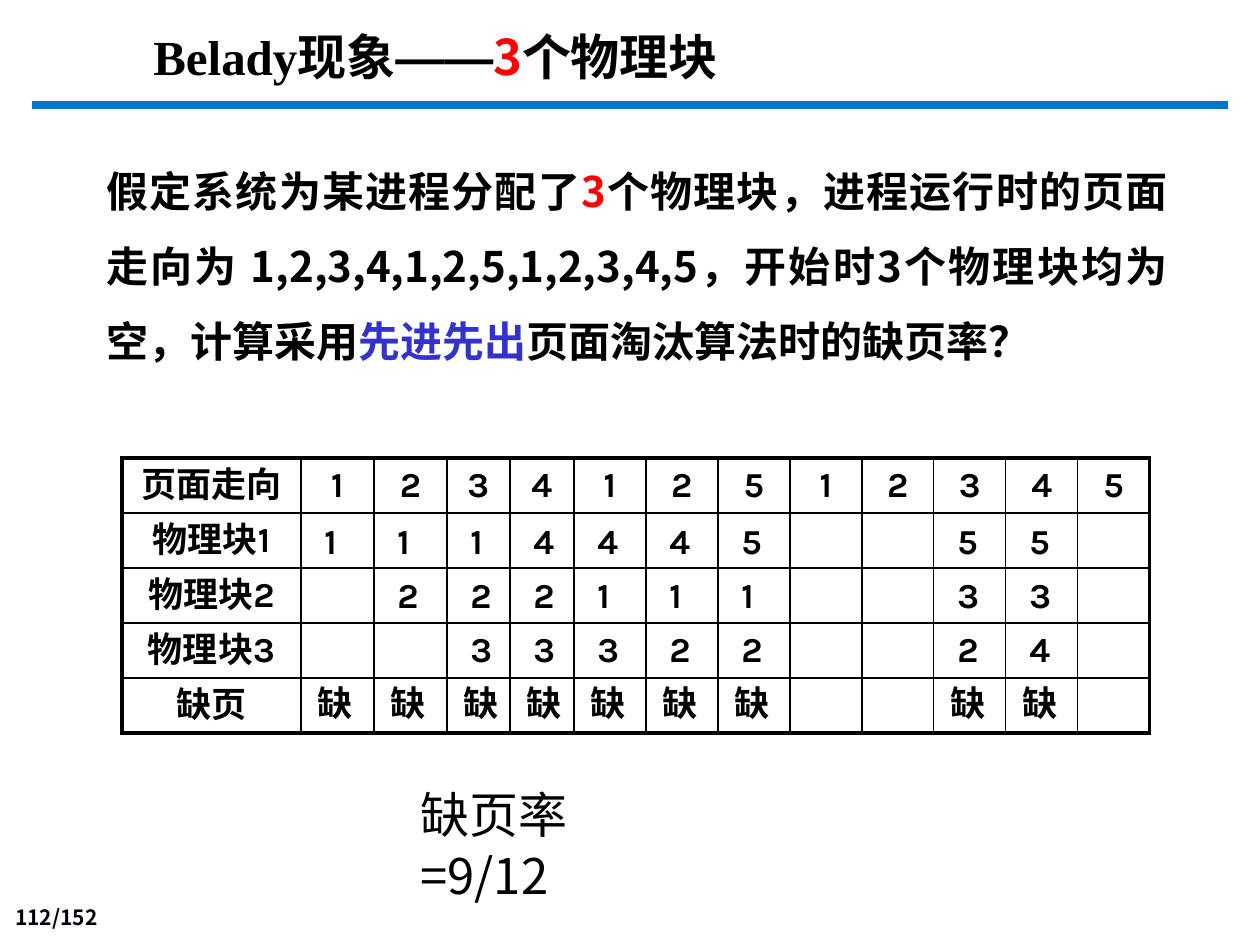
from itertools import accumulate

from lxml import etree
from pptx import Presentation
from pptx.dml.color import RGBColor
from pptx.enum.dml import MSO_FILL
from pptx.enum.shapes import MSO_CONNECTOR
from pptx.enum.text import MSO_ANCHOR, MSO_AUTO_SIZE, PP_ALIGN
from pptx.oxml.ns import qn
from pptx.util import Emu, Pt

PX = 914400 // 126
BLACK, RED, BLUE, RULE_BLUE = "000000", "FF0000", "3333CC", "0574D0"
HEI, SERIF, SANS, CELL_FONT = "Noto Sans CJK SC", "Times New Roman", "Arial", "Karla"

# Runs: text, font, colour
TITLE = [
    ("Belady", SERIF, BLACK),
    ("现象——", SANS, BLACK),
    ("3", HEI, RED),
    ("个物理块", HEI, BLACK),
]
QUESTION = [
    ("假定系统为某进程分配了", HEI, BLACK),
    ("3", HEI, RED),
    ("个物理块，进程运行时的页面走向为 1,2,3,4,1,2,5,1,2,3,4,5，开始时3个物理块均为空，计算采用", HEI, BLACK),
    ("先进先出", HEI, BLUE),
    ("页面淘汰算法时的缺页率？", HEI, BLACK),
]
RESULT = [("缺页率=9/12", HEI, BLACK)]
PAGE_NUMBER = [("112/152", "Noto Sans CJK JP", "000008")]

ROW_LABELS = ["页面走向", "物理块1", "物理块2", "物理块3", "缺页"]
PAGE_SEQUENCE = "123412512345"
# Frames held after each fault, keyed by the column of the page sequence
FRAMES = {1: "1", 2: "12", 3: "123", 4: "423", 5: "413", 6: "412",
          7: "512", 10: "532", 11: "534"}
FAULT = "缺"

TABLE_LEFT, TABLE_TOP, ROW_HEIGHT = 122, 458, 55
COLUMN_WIDTHS = [179, 73, 73, 63, 64] + [72] * 8
COLUMN_LEFTS = list(accumulate(COLUMN_WIDTHS, initial=TABLE_LEFT))
FIRST_MARK_TOP, MARK_STEP, MARK_HEIGHT = 513, 54, 54


def px(length):
    return Emu(length * PX)


def colour(value):
    return RGBColor.from_string(value)


def add_runs(paragraph, runs, size, bold=True):
    for text, face, tint in runs:
        run = paragraph.add_run()
        run.text = text
        run.font.size = Pt(size)
        run.font.bold = bold
        run.font.name = face
        run.font.color.rgb = colour(tint)
        east_asian = etree.SubElement(run._r.get_or_add_rPr(), qn("a:ea"))
        east_asian.set("typeface", face)


def add_text(slide, box, runs, size, bold=True, wrap=True, align=PP_ALIGN.LEFT,
             spacing=None, grow=True, anchor=MSO_ANCHOR.TOP):
    frame = slide.shapes.add_textbox(*map(px, box)).text_frame
    frame.word_wrap = wrap
    frame.auto_size = MSO_AUTO_SIZE.SHAPE_TO_FIT_TEXT if grow else MSO_AUTO_SIZE.NONE
    frame.vertical_anchor = anchor
    paragraph = frame.paragraphs[0]
    paragraph.alignment = align
    if spacing:
        paragraph.line_spacing = Pt(spacing)
    add_runs(paragraph, runs, size, bold)


def add_title_rule(slide):
    rule = slide.shapes.add_connector(
        MSO_CONNECTOR.STRAIGHT, px(32), px(105), px(1228), px(105))
    rule.line.color.rgb = colour(RULE_BLUE)
    rule.line.width = Pt(4.5)
    etree.SubElement(rule._element.spPr, qn("a:effectLst"))


def set_borders(cell, row, column):
    """Draw thick lines on the table's outer edge and thin ones inside."""
    outer_sides = {
        "lnL": column == 0,
        "lnR": column == len(COLUMN_WIDTHS) - 1,
        "lnT": row == 0,
        "lnB": row == len(ROW_LABELS) - 1,
    }
    properties = cell._tc.get_or_add_tcPr()
    for position, (side, outer) in enumerate(outer_sides.items()):
        line = etree.Element(qn(f"a:{side}"), w=str(Pt(2.25 if outer else 1)))
        fill = etree.SubElement(line, qn("a:solidFill"))
        etree.SubElement(fill, qn("a:srgbClr"), val=BLACK)
        properties.insert(position, line)


def add_page_table(slide):
    row_count, column_count = len(ROW_LABELS), len(COLUMN_WIDTHS)
    table = slide.shapes.add_table(
        row_count, column_count, px(TABLE_LEFT), px(TABLE_TOP),
        px(sum(COLUMN_WIDTHS)), px(ROW_HEIGHT * row_count)).table
    table.first_row = table.horz_banding = False
    for column, width in zip(table.columns, COLUMN_WIDTHS):
        column.width = px(width)
    for r, label in enumerate(ROW_LABELS):
        table.rows[r].height = px(ROW_HEIGHT)
        entries = [label, *PAGE_SEQUENCE] if r == 0 else [label]
        for c in range(column_count):
            cell = table.cell(r, c)
            cell.fill.background()
            cell.margin_top = cell.margin_bottom = 0
            cell.vertical_anchor = MSO_ANCHOR.MIDDLE
            set_borders(cell, r, c)
            paragraph = cell.text_frame.paragraphs[0]
            paragraph.alignment = PP_ALIGN.CENTER
            if c < len(entries):
                add_runs(paragraph, [(entries[c], CELL_FONT, BLACK)], 20)
            else:
                paragraph.font.size = Pt(20)


def add_marks(slide):
    """Place the frame contents and fault marks over the table cells."""
    for column, frames in FRAMES.items():
        for row, mark in enumerate([*frames.ljust(3), FAULT]):
            if mark == " ":
                continue
            is_fault = mark == FAULT
            inset, width = (4, 57) if is_fault else (11, 48)
            box = (COLUMN_LEFTS[column] + inset, FIRST_MARK_TOP + row * MARK_STEP,
                   width, MARK_HEIGHT)
            add_text(slide, box, [(mark, CELL_FONT, BLACK)], 20,
                     wrap=is_fault, spacing=24)


def main():
    deck = Presentation()
    deck.slide_width, deck.slide_height = px(1260), px(945)
    slide = deck.slides.add_slide(deck.slide_layouts[6])
    add_title_rule(slide)
    add_text(slide, (0, 900, 110, 36), PAGE_NUMBER, 12, align=PP_ALIGN.RIGHT,
             grow=False, anchor=MSO_ANCHOR.BOTTOM)
    add_text(slide, (141, 16, 1116, 72), TITLE, 28, spacing=36)
    add_text(slide, (94, 134, 1086, 242), QUESTION, 24,
             align=PP_ALIGN.JUSTIFY, spacing=43)
    add_page_table(slide)
    add_text(slide, (408, 776, 290, 72), RESULT, 28, bold=False, spacing=35)
    add_marks(slide)
    deck.save("out.pptx")


if __name__ == "__main__":
    main()
